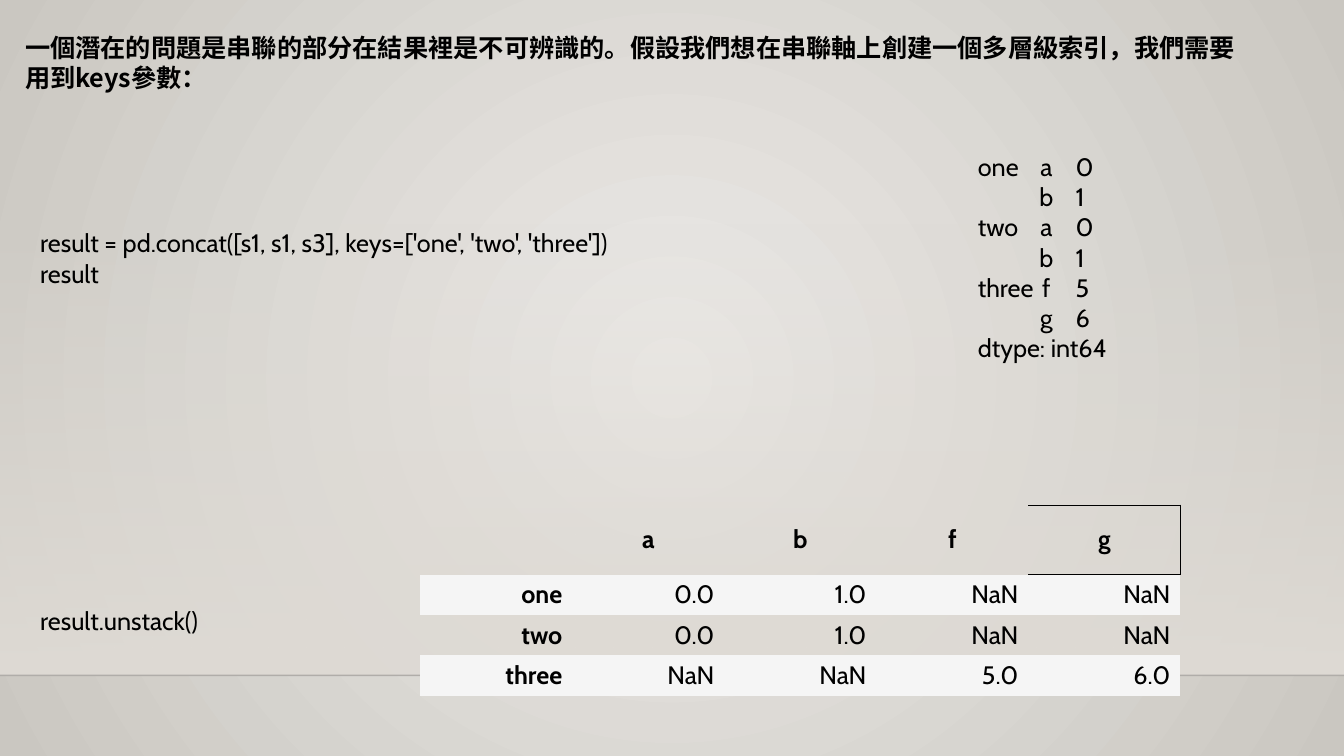
from dataclasses import dataclass
from typing import Optional

from lxml.etree import SubElement
from pptx import Presentation
from pptx.dml.color import RGBColor
from pptx.enum.shapes import MSO_CONNECTOR, MSO_SHAPE
from pptx.enum.text import MSO_ANCHOR, PP_ALIGN
from pptx.oxml import parse_xml
from pptx.oxml.ns import nsdecls, qn
from pptx.util import Inches, Pt

WIDE, HIGH = Inches(13.33), Inches(7.5)
SIZE = Pt(18)
LATIN, HAN = "Cabin", "Noto Sans CJK SC"
PLAIN = "{2D5ABB26-0587-4C30-8999-92F81FD0307C}"
COLORS = {
    "ink": "000000",
    "rule": "000001",
    "glow": "ECEAE7",
    "edge": "CAC7C1",
    "wall": "DFDBD5",
    "band": "F5F5F5",
}


@dataclass
class Box:
    left: float
    top: float
    width: float
    height: float
    lines: list[str]
    font: str = LATIN
    bold: bool = False
    wrap: bool = True
    pitch: Optional[float] = None
    tabs: tuple[tuple[float, str], ...] = ()


BOXES = [
    Box(1.13, 3.6, 93.17, 9.47,
        ["一個潛在的問題是串聯的部分在結果裡是不可辨識的。假設我們想在串聯軸上創建一個多層級索引，我們需要用到keys參數："],
        HAN, bold=True, pitch=21.6),
    Box(2.25, 29.47, 50, 9.47,
        ["result = pd.concat([s1, s1, s3], keys=['one', 'two', 'three'])", "result"]),
    Box(72.02, 19.33, 17.1, 29.6,
        ["one\ta\t0", "\tb\t1", "two\ta\t0", "\tb\t1", "three\tf\t5", "\tg\t6", "dtype: int64"],
        tabs=((5.1, "ctr"), (7.28, "l"))),
    Box(2.25, 79.47, 13.43, 5.33, ["result.unstack()"], wrap=False),
]

ROWS = [
    ["", "a", "b", "f", "g"],
    ["one", "0.0", "1.0", "NaN", "NaN"],
    ["two", "0.0", "1.0", "NaN", "NaN"],
    ["three", "NaN", "NaN", "5.0", "6.0"],
]


def across(share: float) -> int:
    return round(WIDE * share / 100)


def down(share: float) -> int:
    return round(HIGH * share / 100)


def color(name: str) -> RGBColor:
    return RGBColor.from_string(COLORS[name])


def write(para, text: str, font: str, bold: bool) -> None:
    run = para.add_run()
    run.text = text
    run.font.name = font
    run.font.size = SIZE
    run.font.bold = bold
    run.font.color.rgb = color("ink")
    SubElement(run.font._element, qn("a:ea")).set("typeface", font)


def blend(stops: list[tuple[int, str, int]], shade: str):
    marks = "".join(
        f'<a:gs pos="{pos * 1000}"><a:srgbClr val="{COLORS[name]}">'
        f'<a:alpha val="{alpha * 1000}"/></a:srgbClr></a:gs>'
        for pos, name, alpha in stops
    )
    return parse_xml(
        f'<a:gradFill {nsdecls("a")} rotWithShape="1">'
        f"<a:gsLst>{marks}</a:gsLst>{shade}</a:gradFill>"
    )


def swap(fill, fresh) -> None:
    fill.getparent().replace(fill, fresh)


def paint(slide) -> None:
    slide.background.fill.gradient()
    fill = next(slide.element.iter(qn("a:gradFill")))
    swap(fill, blend(
        [(0, "glow", 100), (100, "edge", 100)],
        '<a:path path="circle"><a:fillToRect l="50000" t="50000" r="50000" b="50000"/></a:path>',
    ))
    wall = slide.shapes.add_shape(MSO_SHAPE.RECTANGLE, 0, down(29.47), WIDE, down(59.87))
    wall.shadow.inherit = False
    wall.line.fill.background()
    wall.fill.gradient()
    fill = next(wall.element.iter(qn("a:gradFill")))
    swap(fill, blend(
        [(0, "wall", 0), (100, "wall", 100)], '<a:lin ang="5400000" scaled="0"/>'
    ))
    floor = down(89.33)
    rule = slide.shapes.add_connector(MSO_CONNECTOR.STRAIGHT, 0, floor, WIDE, floor)
    rule.line.width = Pt(1)
    rule.line.color.rgb = color("rule")
    tint = next(rule.element.iter(qn("a:srgbClr")))
    SubElement(tint, qn("a:alpha")).set("val", "20000")
    SubElement(rule.element.spPr, qn("a:effectLst"))


def place(slide, box: Box) -> None:
    shape = slide.shapes.add_textbox(
        across(box.left), down(box.top), across(box.width), down(box.height)
    )
    frame = shape.text_frame
    frame.word_wrap = box.wrap
    for i, line in enumerate(box.lines):
        para = frame.paragraphs[0] if i == 0 else frame.add_paragraph()
        if box.pitch:
            para.line_spacing = Pt(box.pitch)
        if box.tabs:
            stops = SubElement(para._p.get_or_add_pPr(), qn("a:tabLst"))
            for share, side in box.tabs:
                stop = SubElement(stops, qn("a:tab"))
                stop.set("pos", str(across(share)))
                stop.set("algn", side)
        write(para, line, box.font, box.bold)


def edge(cell, side: str, width: float) -> None:
    props = cell._tc.get_or_add_tcPr()
    props.insert(0, parse_xml(
        f'<a:{side} {nsdecls("a")} w="{Pt(width)}"><a:solidFill>'
        f'<a:srgbClr val="{COLORS["ink"]}"/></a:solidFill></a:{side}>'
    ))


def tabulate(slide) -> None:
    count = len(ROWS[0])
    tall = [9.2] + [5.33] * (len(ROWS) - 1)
    frame = slide.shapes.add_table(
        len(ROWS), count, across(31.28), down(66.8), across(11.31 * count), down(sum(tall))
    )
    next(frame.element.iter(qn("a:tableStyleId"))).text = PLAIN
    table = frame.table
    for col in table.columns:
        col.width = across(11.31)
    for r, (row, share) in enumerate(zip(ROWS, tall)):
        table.rows[r].height = down(share)
        for c, text in enumerate(row):
            cell = table.cell(r, c)
            cell.vertical_anchor = MSO_ANCHOR.MIDDLE
            if r % 2:
                cell.fill.solid()
                cell.fill.fore_color.rgb = color("band")
            else:
                cell.fill.background()
            if text:
                para = cell.text_frame.paragraphs[0]
                para.alignment = PP_ALIGN.RIGHT if r else PP_ALIGN.CENTER
                write(para, text, LATIN, r == 0 or c == 0)
    for side, width in (("lnB", 1.5), ("lnT", 0.75), ("lnR", 0.75)):
        edge(table.cell(0, count - 1), side, width)


def main() -> None:
    deck = Presentation()
    deck.slide_width, deck.slide_height = WIDE, HIGH
    slide = deck.slides.add_slide(deck.slide_layouts[6])
    paint(slide)
    for box in BOXES:
        place(slide, box)
    tabulate(slide)
    deck.save("out.pptx")


if __name__ == "__main__":
    main()
